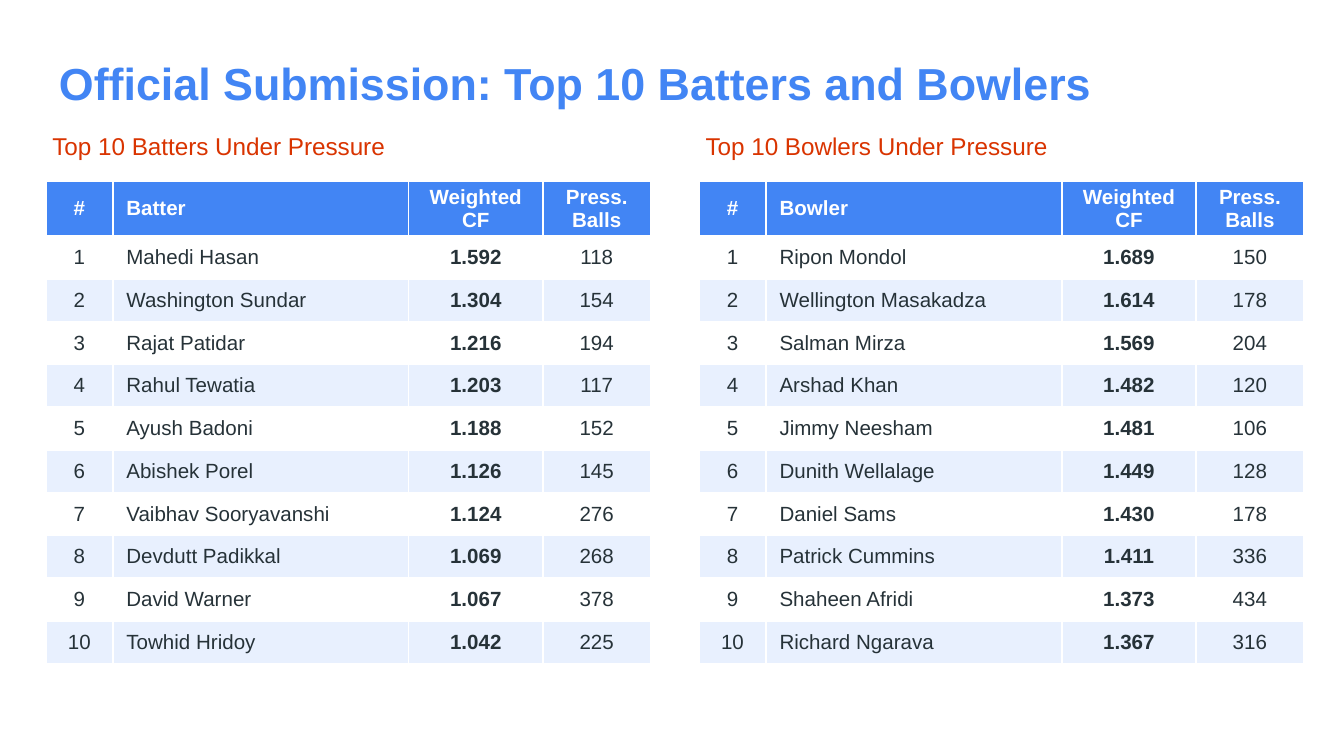
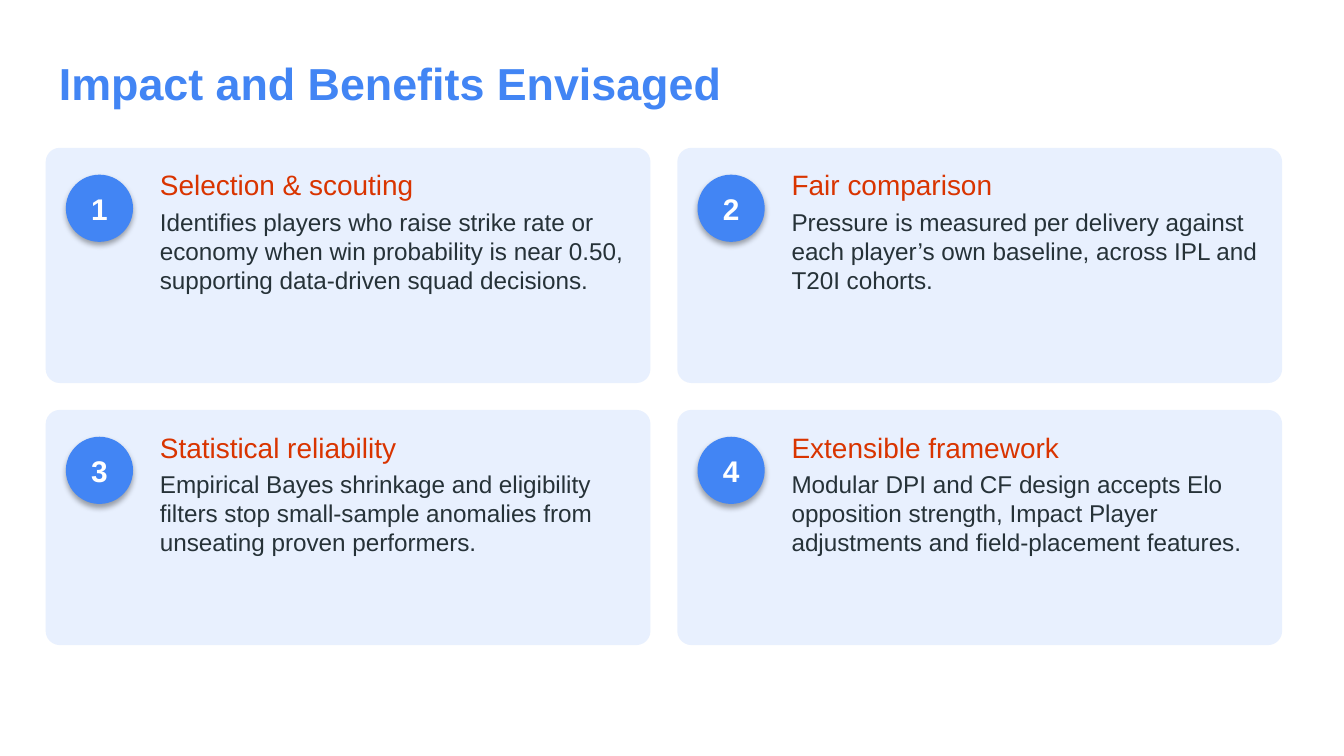
"""Build two slides: top ten player tables and a grid of benefit cards."""
from dataclasses import dataclass
from typing import Any

from lxml.etree import SubElement
from pptx import Presentation
from pptx.dml.color import RGBColor
from pptx.enum.shapes import MSO_SHAPE
from pptx.enum.text import MSO_ANCHOR, MSO_AUTO_SIZE, PP_ALIGN
from pptx.oxml.ns import qn
from pptx.util import Inches, Pt

COLORS = {
    "blue": "4285F4",
    "orange": "D93400",
    "ink": "263238",
    "pale": "E8F0FE",
    "white": "FFFFFF",
}
FONT = "Arial"
SLIDE_WIDTH = Inches(10)
SLIDE_HEIGHT = SLIDE_WIDTH * 9 // 16
LEFT = 0.34
PANEL_WIDTH = 4.5
COLUMN_WIDTHS = (0.5, 2.2, 1, 0.8)
NAME_COLUMN, SCORE_COLUMN = 1, 2
CARD_TOP, CARD_HEIGHT, CARD_GAP = 1.1, 1.75, 0.2


@dataclass(frozen=True)
class TextStyle:
    """Hold the look of one paragraph."""
    size: float
    color: str
    bold: bool = False
    align: PP_ALIGN = PP_ALIGN.LEFT
    after: float = 0


@dataclass(frozen=True)
class Ranking:
    """Hold one ranked table of players."""
    left: float
    heading: str
    role: str
    players: tuple[tuple[str, str, str], ...]


@dataclass(frozen=True)
class Benefit:
    """Hold the text of one card."""
    heading: str
    detail: str


TITLE = TextStyle(24, "blue", bold=True)
TABLE_HEADING = TextStyle(13, "orange", after=3)
CARD_HEADING = TextStyle(15, "orange", after=3)
CARD_DETAIL = TextStyle(13, "ink", after=4)
BADGE = TextStyle(16, "white", bold=True, align=PP_ALIGN.CENTER)

RANKINGS = (
    Ranking(LEFT, "Top 10 Batters Under Pressure", "Batter", (
        ("Mahedi Hasan", "1.592", "118"),
        ("Washington Sundar", "1.304", "154"),
        ("Rajat Patidar", "1.216", "194"),
        ("Rahul Tewatia", "1.203", "117"),
        ("Ayush Badoni", "1.188", "152"),
        ("Abishek Porel", "1.126", "145"),
        ("Vaibhav Sooryavanshi", "1.124", "276"),
        ("Devdutt Padikkal", "1.069", "268"),
        ("David Warner", "1.067", "378"),
        ("Towhid Hridoy", "1.042", "225"),
    )),
    Ranking(5.2, "Top 10 Bowlers Under Pressure", "Bowler", (
        ("Ripon Mondol", "1.689", "150"),
        ("Wellington Masakadza", "1.614", "178"),
        ("Salman Mirza", "1.569", "204"),
        ("Arshad Khan", "1.482", "120"),
        ("Jimmy Neesham", "1.481", "106"),
        ("Dunith Wellalage", "1.449", "128"),
        ("Daniel Sams", "1.430", "178"),
        ("Patrick Cummins", "1.411", "336"),
        ("Shaheen Afridi", "1.373", "434"),
        ("Richard Ngarava", "1.367", "316"),
    )),
)

BENEFITS = (
    Benefit("Selection & scouting",
            "Identifies players who raise strike rate or economy when win probability "
            "is near 0.50, supporting data-driven squad decisions."),
    Benefit("Fair comparison",
            "Pressure is measured per delivery against each player’s own baseline, "
            "across IPL and T20I cohorts."),
    Benefit("Statistical reliability",
            "Empirical Bayes shrinkage and eligibility filters stop small-sample "
            "anomalies from unseating proven performers."),
    Benefit("Extensible framework",
            "Modular DPI and CF design accepts Elo opposition strength, Impact Player "
            "adjustments and field-placement features."),
)


def set_values(target: Any, values: dict[str, Any]) -> None:
    """Set each named attribute on the target."""
    for name, value in values.items():
        setattr(target, name, value)


def margins(horizontal: float, vertical: float) -> dict[str, Any]:
    """Return matching margins for a text frame or table cell."""
    return {
        "margin_left": Inches(horizontal), "margin_right": Inches(horizontal),
        "margin_top": Inches(vertical), "margin_bottom": Inches(vertical),
    }


def paint(target: Any, color: str) -> None:
    """Fill a shape or cell with a solid colour."""
    target.fill.solid()
    target.fill.fore_color.rgb = RGBColor.from_string(COLORS[color])


def write(frame: Any, *lines: tuple[str, TextStyle]) -> None:
    """Write one styled paragraph for each line."""
    for index, (text, style) in enumerate(lines):
        para = frame.add_paragraph() if index else frame.paragraphs[0]
        set_values(para, {"alignment": style.align, "space_after": Pt(style.after)})
        span = para.add_run()
        span.text = text
        set_values(span.font, {"name": FONT, "size": Pt(style.size), "bold": style.bold})
        span.font.color.rgb = RGBColor.from_string(COLORS[style.color])


def add_text(page: Any, left: float, top: float, width: float, height: float,
             *lines: tuple[str, TextStyle]) -> None:
    """Add a wrapped text box that grows with its text."""
    box = page.shapes.add_textbox(Inches(left), Inches(top), Inches(width), Inches(height))
    set_values(box.text_frame, {
        "word_wrap": True, "auto_size": MSO_AUTO_SIZE.SHAPE_TO_FIT_TEXT,
        **margins(0.05, 0.03),
    })
    write(box.text_frame, *lines)


def add_page(deck: Any, title: str) -> Any:
    """Add a white slide with its title."""
    page = deck.slides.add_slide(deck.slide_layouts[6])
    paint(page.background, "white")
    box = page.shapes.add_textbox(Inches(LEFT), Inches(0.33), Inches(9.32), Inches(0.57))
    set_values(box.text_frame, {
        "word_wrap": True, "vertical_anchor": MSO_ANCHOR.MIDDLE, **margins(0.1, 0.1),
    })
    write(box.text_frame, (title, TITLE))
    return page


def add_shape(page: Any, kind: MSO_SHAPE, left: float, top: float,
              width: float, height: float, color: str) -> Any:
    """Add a flat filled shape without an outline."""
    shape = page.shapes.add_shape(
        kind, Inches(left), Inches(top), Inches(width), Inches(height))
    shape.shadow.inherit = False
    paint(shape, color)
    shape.line.fill.background()
    return shape


def add_ranking(page: Any, ranking: Ranking) -> None:
    """Add a heading and its table of players."""
    add_text(page, ranking.left, 0.95, PANEL_WIDTH, 0.35, (ranking.heading, TABLE_HEADING))
    rows = [("#", ranking.role, "Weighted CF", "Press. Balls")]
    rows += [(str(rank), *player) for rank, player in enumerate(ranking.players, 1)]
    table = page.shapes.add_table(
        len(rows), len(COLUMN_WIDTHS), Inches(ranking.left), Inches(1.35),
        Inches(PANEL_WIDTH), Inches(3.5)).table
    for column, width in zip(table.columns, COLUMN_WIDTHS):
        column.width = Inches(width)
    for row_index, row in enumerate(rows):
        header = row_index == 0
        fill = "blue" if header else ("white" if row_index % 2 else "pale")
        for column_index, text in enumerate(row):
            cell = table.cell(row_index, column_index)
            set_values(cell, {"vertical_anchor": MSO_ANCHOR.MIDDLE, **margins(0.1, 0.02)})
            paint(cell, fill)
            style = TextStyle(
                11, "white" if header else "ink",
                bold=header or column_index == SCORE_COLUMN,
                align=PP_ALIGN.LEFT if column_index == NAME_COLUMN else PP_ALIGN.CENTER)
            write(cell.text_frame, (text, style))


def add_soft_shadow(shape: Any) -> None:
    """Give a shape a soft shadow straight below it."""
    effects = shape._element.spPr.find(qn("a:effectLst"))
    shadow = SubElement(effects, qn("a:outerShdw"), {
        "blurRad": str(Pt(3.1)), "dist": str(Pt(1.8)), "dir": "5400000", "rotWithShape": "0",
    })
    color = SubElement(shadow, qn("a:srgbClr"), {"val": "000000"})
    SubElement(color, qn("a:alpha"), {"val": "35000"})


def add_benefit(page: Any, index: int, benefit: Benefit) -> None:
    """Add one numbered card at its place in the grid."""
    row, column = divmod(index, 2)
    left = LEFT + column * (PANEL_WIDTH + CARD_GAP)
    top = CARD_TOP + row * (CARD_HEIGHT + CARD_GAP)
    card = add_shape(page, MSO_SHAPE.ROUNDED_RECTANGLE, left, top,
                     PANEL_WIDTH, CARD_HEIGHT, "pale")
    card.adjustments[0] = 0.06
    badge = add_shape(page, MSO_SHAPE.OVAL, left + 0.15, top + 0.2, 0.5, 0.5, "blue")
    add_soft_shadow(badge)
    set_values(badge.text_frame, {
        "vertical_anchor": MSO_ANCHOR.MIDDLE, **margins(0, 0.05),
    })
    write(badge.text_frame, (str(index + 1), BADGE))
    add_text(page, left + 0.8, top + 0.12, 3.6, 1.55,
             (benefit.heading, CARD_HEADING), (benefit.detail, CARD_DETAIL))


def main() -> None:
    """Build and save the deck."""
    deck = Presentation()
    set_values(deck, {"slide_width": SLIDE_WIDTH, "slide_height": SLIDE_HEIGHT})
    page = add_page(deck, "Official Submission: Top 10 Batters and Bowlers")
    for ranking in RANKINGS:
        add_ranking(page, ranking)
    page = add_page(deck, "Impact and Benefits Envisaged")
    for index, benefit in enumerate(BENEFITS):
        add_benefit(page, index, benefit)
    deck.save("out.pptx")


if __name__ == "__main__":
    main()
